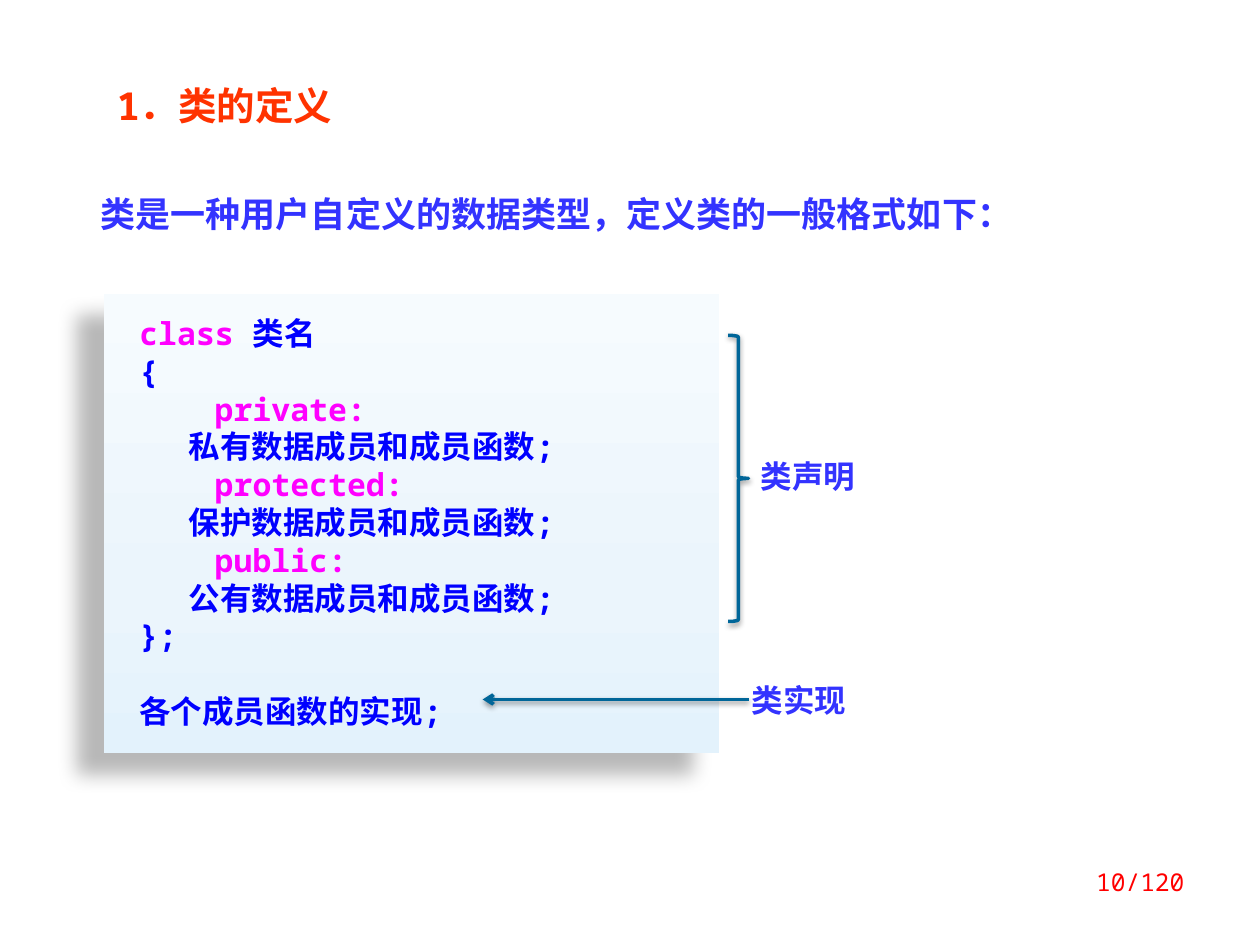
"""Build the slide on the definition of a class."""
from lxml.etree import SubElement
from pptx import Presentation
from pptx.dml.color import RGBColor as Rgb
from pptx.enum.shapes import MSO_CONNECTOR as Connector, MSO_SHAPE as Shape
from pptx.enum.text import MSO_ANCHOR as Anchor, PP_ALIGN as Align
from pptx.oxml import parse_xml
from pptx.oxml.ns import nsdecls, qn
from pptx.util import Cm, Pt

FONT = "Noto Sans Mono"
COLORS = {
    "title": "FF3300", "text": "3333FF", "keyword": "FF00FF", "code": "0000FF",
    "line": "006699", "page": "FF0000", "shadow": "000000",
}
GRADIENT = [(0, "E3F2FC"), (35, "EBF5FC"), (100, "F6FBFE")]
SECTIONS = [("private:", "私有"), ("protected:", "保护"), ("public:", "公有")]
KEYWORD_INDENT, MEMBER_INDENT = 1.52, 1.0


def add_run(paragraph, text, size=18, color="text", bold=True):
    """Append formatted text to a paragraph."""
    run = paragraph.add_run()
    run.text = text
    run.font.size = Pt(size)
    run.font.bold = bold
    run.font.name = FONT
    run.font.color.rgb = Rgb.from_string(COLORS[color])
    SubElement(run.font._element, qn("a:ea"), typeface=FONT)


def add_label(slide, box, text, align=Align.LEFT, **text_format):
    """Add a wrapping text box with one paragraph."""
    frame = slide.shapes.add_textbox(*map(Cm, box)).text_frame
    frame.word_wrap = True
    frame.paragraphs[0].alignment = align
    add_run(frame.paragraphs[0], text, **text_format)


def set_title(slide, box, text):
    """Place and fill the title placeholder."""
    title = slide.shapes.title
    title.left, title.top, title.width, title.height = map(Cm, box)
    title.text_frame.vertical_anchor = Anchor.MIDDLE
    paragraph = title.text_frame.paragraphs[0]
    paragraph.alignment = Align.LEFT
    add_run(paragraph, text, size=22, color="title")


def add_shadow(shape, alpha=38, blur=3.1, distance=1.6, angle=90):
    """Give a shape or connector an outer shadow."""
    shape._element.spPr.append(parse_xml(
        f'<a:effectLst {nsdecls("a")}><a:outerShdw blurRad="{Pt(blur)}" '
        f'dist="{Pt(distance)}" dir="{angle * 60000}" algn="ctr" rotWithShape="0">'
        f'<a:srgbClr val="{COLORS["shadow"]}"><a:alpha val="{alpha * 1000}"/>'
        '</a:srgbClr></a:outerShdw></a:effectLst>'))


def set_line(shape):
    """Apply the shared outline."""
    shape.line.color.rgb = Rgb.from_string(COLORS["line"])
    shape.line.width = Pt(2)


def add_code_panel(slide, box):
    """Add the shaded panel and return its text frame."""
    panel = slide.shapes.add_shape(Shape.RECTANGLE, *map(Cm, box))
    panel.fill.gradient()
    panel.fill.gradient_angle = 90
    stops = panel._element.spPr.find(qn("a:gradFill")).find(qn("a:gsLst"))
    for stop in list(stops):
        stops.remove(stop)
    for position, color in GRADIENT:
        stop = SubElement(stops, qn("a:gs"), pos=str(position * 1000))
        SubElement(stop, qn("a:srgbClr"), val=color)
    panel.line.fill.background()
    add_shadow(panel, alpha=28, blur=11.8, distance=19.7, angle=141)
    frame = panel.text_frame
    frame.word_wrap = True
    frame.vertical_anchor = Anchor.TOP
    frame.margin_left, frame.margin_right = Cm(0.71), Cm(0.25)
    frame.margin_top = frame.margin_bottom = Cm(0.41)
    return frame


def fill_code(frame):
    """Write the class template line by line."""
    lines = [(0, [("class ", "keyword"), ("类名", "code")]), (0, [("{", "code")])]
    for keyword, access in SECTIONS:
        lines.append((KEYWORD_INDENT, [(keyword, "keyword")]))
        lines.append((MEMBER_INDENT, [(f"{access}数据成员和成员函数;", "code")]))
    lines += [(0, [("};", "code")]), (0, [("各个成员函数的实现;", "code")])]
    for index, (indent, parts) in enumerate(lines):
        paragraph = frame.add_paragraph() if index else frame.paragraphs[0]
        paragraph.alignment = Align.LEFT
        paragraph._p.get_or_add_pPr().set("marL", str(Cm(indent)))
        for text, color in parts:
            add_run(paragraph, text, color=color)
    paragraph.line_spacing = 2.0


def add_brace(slide, box):
    """Add the right brace beside the declaration."""
    brace = slide.shapes.add_shape(Shape.RIGHT_BRACE, *map(Cm, box))
    brace.fill.background()
    set_line(brace)
    add_shadow(brace)


def add_arrow(slide, start, end):
    """Add a straight arrow that points at its end."""
    arrow = slide.shapes.add_connector(Connector.STRAIGHT, *map(Cm, start + end))
    set_line(arrow)
    SubElement(arrow.line._get_or_add_ln(), qn("a:tailEnd"), type="arrow")
    add_shadow(arrow)


def main():
    """Build and save the presentation."""
    presentation = Presentation()
    presentation.slide_width, presentation.slide_height = Cm(25.4), Cm(19.05)
    slide = presentation.slides.add_slide(presentation.slide_layouts[5])
    set_title(slide, (2.1, 1.52, 8.2, 1.19), "1．类的定义")
    add_label(slide, (1.78, 3.76, 20.04, 1.12),
              "类是一种用户自定义的数据类型，定义类的一般格式如下：", size=20)
    fill_code(add_code_panel(slide, (2.1, 5.92, 12.4, 9.27)))
    add_brace(slide, (14.68, 6.76, 0.41, 5.77))
    add_label(slide, (15.09, 9.09, 2.97, 1.02), "类声明")
    add_label(slide, (14.91, 13.61, 2.97, 1.02), "类实现")
    add_arrow(slide, (15.09, 14.1), (9.73, 14.1))
    add_label(slide, (18.21, 17.35, 5.92, 1.27), "10/120", align=Align.RIGHT,
              size=14, color="page", bold=False)
    presentation.save("out.pptx")


if __name__ == "__main__":
    main()
